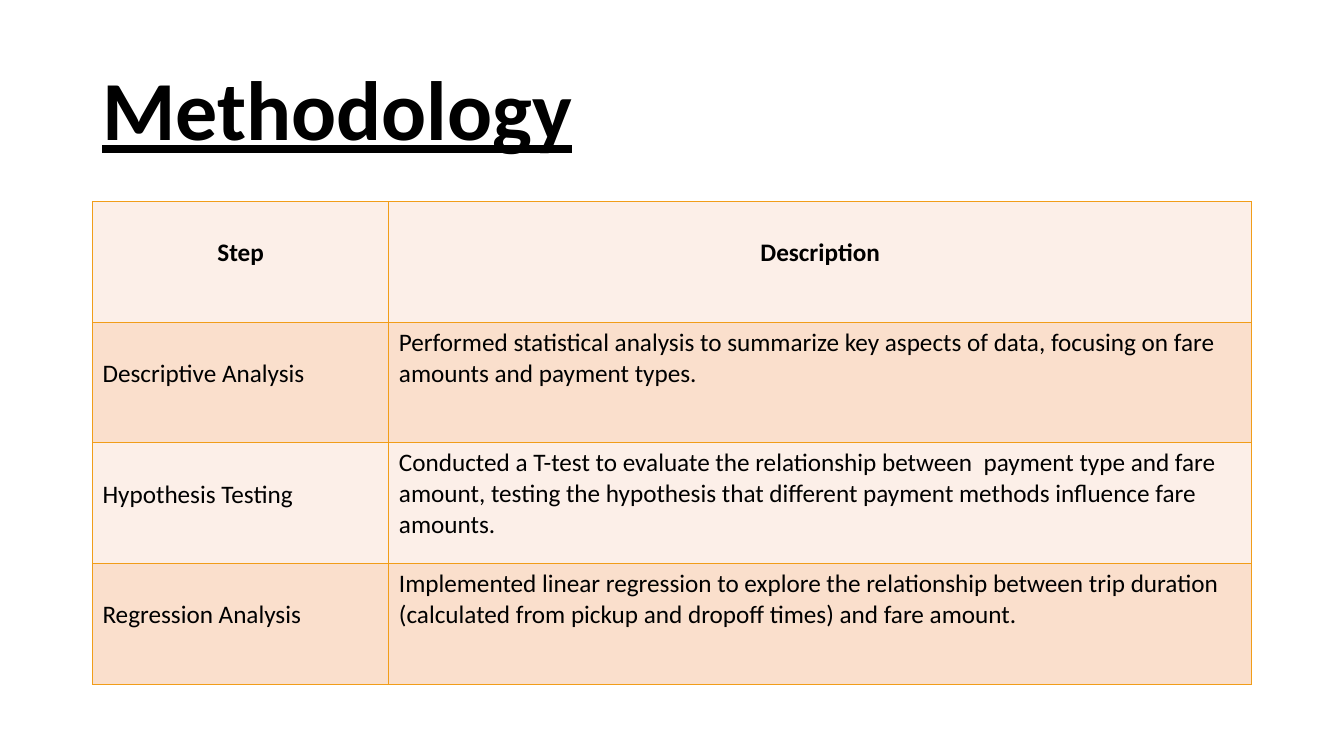
from dataclasses import dataclass
from typing import Any

import lxml.etree
import pptx
import pptx.dml.color
import pptx.enum.text
import pptx.oxml.ns
import pptx.util

Cm = pptx.util.Cm
Pt = pptx.util.Pt
ALIGN = pptx.enum.text.PP_ALIGN

COLORS = {
    "text": "000000",
    "border": "F19D19",
    "light_row": "FCEFE8",
    "dark_row": "FADFCC",
}
FONT = {"name": "Calibri", "size": Pt(18), "bold": False}
HEADER_FONT = FONT | {"bold": True}
TITLE_FONT = FONT | {"size": Pt(60), "bold": True, "underline": True}

LEFT = Cm(2.33)
COLUMN_WIDTHS = (Cm(7.47), Cm(21.74))
ROW_HEIGHT = Cm(3.04)
ONE_LINE_DOWN = Cm(0.91)  # top margin that lowers the text by one line


@dataclass
class Step:
    name: str
    description: str


HEADER = Step("Step", "Description")
STEPS = [
    Step("Descriptive Analysis",
         "Performed statistical analysis to summarize key aspects of data, "
         "focusing on fare amounts and payment types."),
    Step("Hypothesis Testing",
         "Conducted a T-test to evaluate the relationship between  payment type "
         "and fare amount, testing the hypothesis that different payment methods "
         "influence fare amounts."),
    Step("Regression Analysis",
         "Implemented linear regression to explore the relationship between trip "
         "duration (calculated from pickup and dropoff times) and fare amount."),
]


def rgb(name: str) -> pptx.dml.color.RGBColor:
    return pptx.dml.color.RGBColor.from_string(COLORS[name])


def write(paragraph: Any, text: str, font: dict[str, Any]) -> None:
    run = paragraph.add_run()
    run.text = text
    for attribute, value in font.items():
        setattr(run.font, attribute, value)
    run.font.color.rgb = rgb("text")


def add_borders(cell: Any) -> None:
    qn = pptx.oxml.ns.qn
    properties = cell._tc.get_or_add_tcPr()
    for position, side in enumerate(("lnL", "lnR", "lnT", "lnB")):
        line = lxml.etree.Element(qn(f"a:{side}"), w=str(Pt(1)))
        fill = lxml.etree.SubElement(line, qn("a:solidFill"))
        lxml.etree.SubElement(fill, qn("a:srgbClr"), val=COLORS["border"])
        properties.insert(position, line)


def fill_cell(cell: Any, text: str, fill: str, font: dict[str, Any],
              alignment: Any, lowered: bool) -> None:
    cell.fill.solid()
    cell.fill.fore_color.rgb = rgb(fill)
    if lowered:
        cell.margin_top = ONE_LINE_DOWN
    paragraph = cell.text_frame.paragraphs[0]
    paragraph.alignment = alignment
    write(paragraph, text, font)
    add_borders(cell)


def add_title(slide: Any, text: str) -> None:
    box = slide.shapes.add_textbox(LEFT, Cm(1.01), sum(COLUMN_WIDTHS), Cm(3.68))
    frame = box.text_frame
    frame.word_wrap = True
    frame.vertical_anchor = pptx.enum.text.MSO_ANCHOR.MIDDLE
    frame.paragraphs[0].line_spacing = 0.9
    write(frame.paragraphs[0], text, TITLE_FONT)


def add_steps_table(slide: Any, rows: list[Step]) -> None:
    table = slide.shapes.add_table(
        len(rows), len(COLUMN_WIDTHS), LEFT, Cm(5.08),
        sum(COLUMN_WIDTHS), ROW_HEIGHT * len(rows)).table
    table.first_row = table.horz_banding = False
    for column, width in zip(table.columns, COLUMN_WIDTHS):
        column.width = width
    for index, step in enumerate(rows):
        is_header = index == 0
        fill = "dark_row" if index % 2 else "light_row"
        font = HEADER_FONT if is_header else FONT
        alignment = ALIGN.CENTER if is_header else ALIGN.LEFT
        fill_cell(table.cell(index, 0), step.name, fill, font, alignment, True)
        fill_cell(table.cell(index, 1), step.description, fill, font, alignment,
                  is_header)


def main() -> None:
    presentation = pptx.Presentation()
    presentation.slide_width = Cm(33.87)
    presentation.slide_height = Cm(19.05)
    slide = presentation.slides.add_slide(presentation.slide_layouts[6])

    # Heading
    add_title(slide, "Methodology")

    # Table of steps
    add_steps_table(slide, [HEADER, *STEPS])

    presentation.save("out.pptx")


if __name__ == "__main__":
    main()
